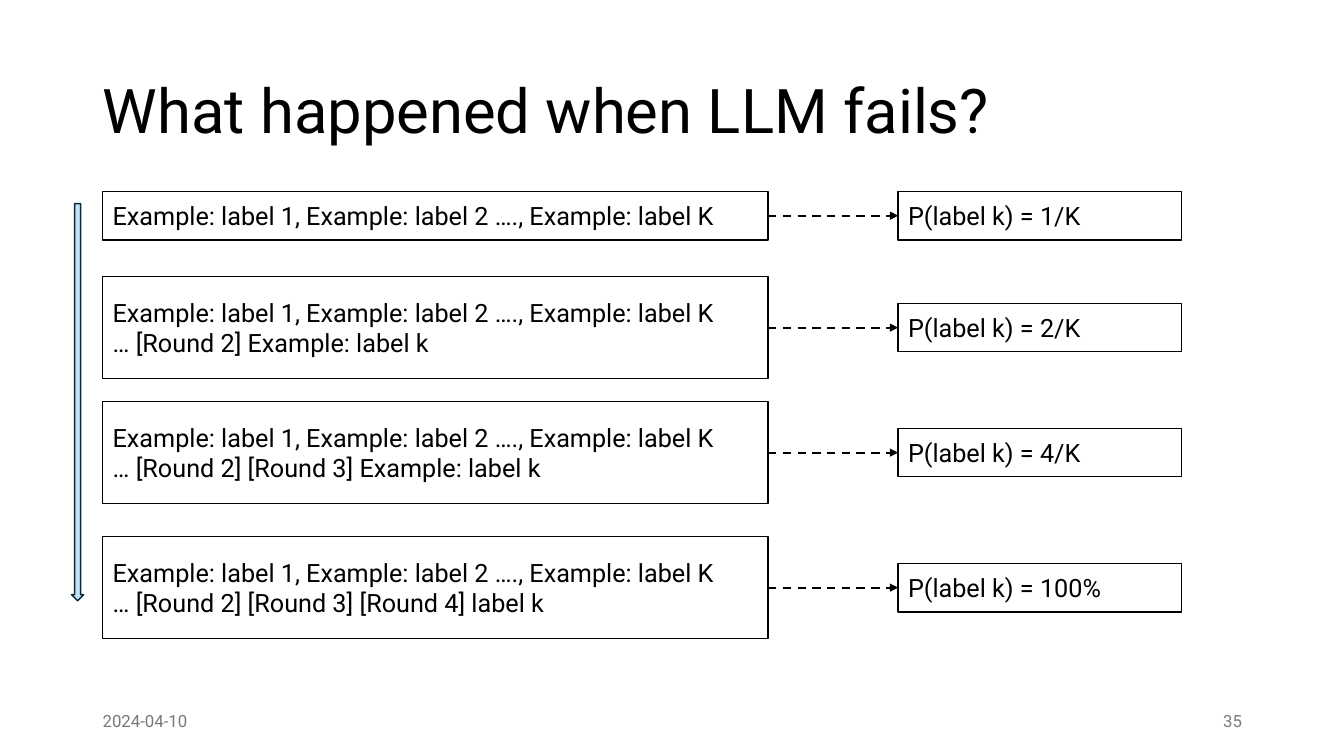
from lxml.etree import SubElement
from pptx import Presentation
from pptx.dml.color import RGBColor
from pptx.enum.dml import MSO_LINE
from pptx.enum.shapes import MSO_CONNECTOR, MSO_SHAPE
from pptx.enum.text import MSO_ANCHOR, PP_ALIGN
from pptx.oxml.ns import qn
from pptx.util import Inches, Pt

CELL = Inches(0.1)
SLIDE_COLUMNS, SLIDE_ROWS = 133.33, 75
PROMPT_COLUMNS, RESULT_COLUMNS = 66, 28.1
LINE_ROWS, PROMPT_ROWS = 4.8, 10.1
BLACK, WHITE, GREY = "000000", "FFFFFF", "797979"

EXAMPLES = "Example: label 1, Example: label 2 …., Example: label K"
ROUNDS = [
    (21.4, [EXAMPLES], "P(label k) = 1/K"),
    (32.5, [EXAMPLES, "… [Round 2] Example: label k"], "P(label k) = 2/K"),
    (44.9, [EXAMPLES, "… [Round 2] [Round 3] Example: label k"], "P(label k) = 4/K"),
    (58.3, [EXAMPLES, "… [Round 2] [Round 3] [Round 4] label k"], "P(label k) = 100%"),
]


def color(value):
    """Turn a hex string into a colour."""
    return RGBColor.from_string(value)


def cells(*lengths):
    """Turn grid cells into slide lengths."""
    return [round(length * CELL) for length in lengths]


def write(part, lines, size=18, ink=BLACK, align=PP_ALIGN.LEFT, spacing=None):
    """Fill a part with vertically centred lines of text."""
    frame = part.text_frame
    frame.text = "\n".join(lines)
    frame.word_wrap = True
    frame.vertical_anchor = MSO_ANCHOR.MIDDLE
    for paragraph in frame.paragraphs:
        paragraph.alignment = align
        paragraph.line_spacing = spacing
        paragraph.font.name = "Roboto"
        paragraph.font.size = Pt(size)
        paragraph.font.color.rgb = color(ink)


def draw_shape(slide, kind, box, fill, outline):
    """Draw a flat preset shape in the box."""
    part = slide.shapes.add_shape(kind, *cells(*box))
    part.shadow.inherit = False
    part.fill.solid()
    part.fill.fore_color.rgb = color(fill)
    part.line.color.rgb = color(outline)
    part.line.width = Pt(1)
    return part


def draw_card(slide, box, lines):
    """Draw a bordered card with text."""
    card = draw_shape(slide, MSO_SHAPE.RECTANGLE, box, WHITE, BLACK)
    write(card, lines)
    return card


def join(slide, start, end):
    """Join two cards with a dashed arrow."""
    arrow = slide.shapes.add_connector(MSO_CONNECTOR.STRAIGHT, 0, 0, 0, 0)
    arrow.begin_connect(start, 3)
    arrow.end_connect(end, 1)
    arrow.line.color.rgb = color(BLACK)
    arrow.line.width = Pt(1.5)
    arrow.line.dash_style = MSO_LINE.DASH
    SubElement(arrow.line._get_or_add_ln(), qn("a:tailEnd"), type="triangle")
    SubElement(arrow._element.spPr, qn("a:effectLst"))


def draw_round(slide, box, lines, probability):
    """Place a prompt, its arrow and its probability in the box."""
    left, top, width, height = box
    prompt = draw_card(slide, (left, top, PROMPT_COLUMNS, height), lines)
    result_box = (left + width - RESULT_COLUMNS, top + (height - LINE_ROWS) / 2,
                  RESULT_COLUMNS, LINE_ROWS)
    join(slide, prompt, draw_card(slide, result_box, [probability]))


def draw_rounds(slide, left, width):
    """Stack the rounds around their centre lines."""
    for middle, lines, probability in ROUNDS:
        height = PROMPT_ROWS if len(lines) > 1 else LINE_ROWS
        draw_round(slide, (left, middle - height / 2, width, height), lines, probability)


def draw_title(slide, box, text):
    """Place the slide title in the box."""
    title = slide.shapes.title
    title.left, title.top, title.width, title.height = cells(*box)
    write(title, [text], size=44, spacing=0.9)


def draw_footer(slide, box, date, number):
    """Place the date and slide number at the two ends of the box."""
    left, top, width, height = box
    note_width = 30
    for text, start, align in [(date, left, PP_ALIGN.LEFT),
                               (number, left + width - note_width, PP_ALIGN.RIGHT)]:
        note = slide.shapes.add_textbox(*cells(start, top, note_width, height))
        write(note, [text], size=12, ink=GREY, align=align)


def main():
    """Build the slide and save it."""
    deck = Presentation()
    deck.slide_width, deck.slide_height = cells(SLIDE_COLUMNS, SLIDE_ROWS)
    slide = deck.slides.add_slide(deck.slide_layouts[5])
    draw_title(slide, (9.2, 4, 115, 14.5), "What happened when LLM fails?")
    draw_footer(slide, (9.2, 69.5, 115, 4), "2024-04-10", "35")
    draw_rounds(slide, 10.2, 107)
    draw_shape(slide, MSO_SHAPE.DOWN_ARROW, (7.1, 20.2, 1.2, 39.4), "C1E5F5", "092A39")
    deck.save("out.pptx")


if __name__ == "__main__":
    main()
